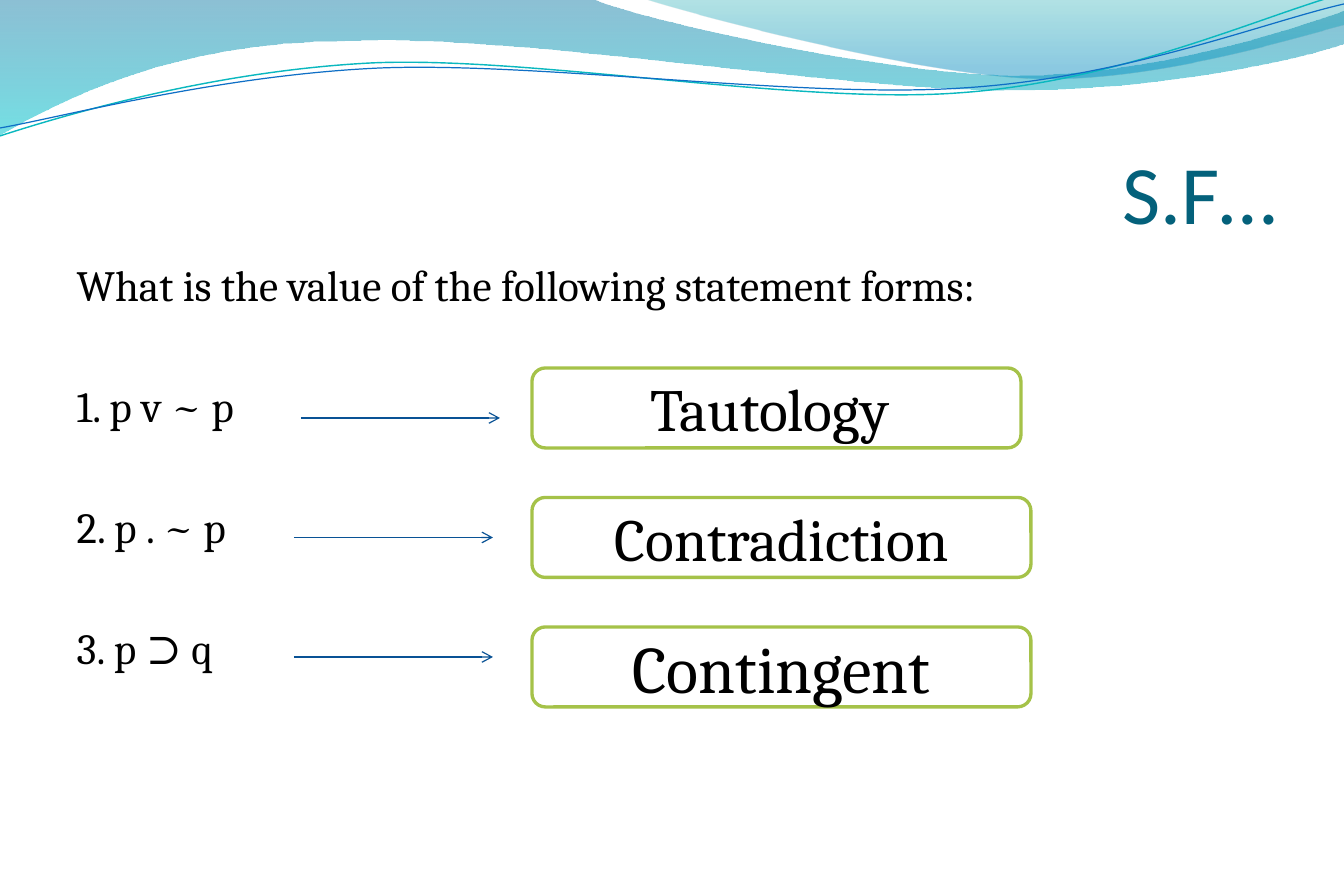
from lxml.etree import SubElement
from pptx import Presentation
from pptx.dml.color import RGBColor
from pptx.enum.shapes import MSO_CONNECTOR, MSO_SHAPE
from pptx.enum.text import MSO_ANCHOR, MSO_AUTO_SIZE, PP_ALIGN
from pptx.oxml.ns import qn
from pptx.util import Pt

SCALE = 914400 / 119.5


def px(*lengths):
    return [round(length * SCALE) for length in lengths]


def color(value):
    return RGBColor.from_string(value)


deck = Presentation()
deck.slide_width, deck.slide_height = px(1344, 896)
page = deck.slides.add_slide(deck.slide_layouts[5])

# Waves: a start, then straight (x, y) or cubic (x1, y1, x2, y2, x, y) steps;
# gradient stops are (position, colour, opacity in percent)
band = [(0, -1), (592, -1), (639, 20, 891, 75, 1019, 75), (1147, 75, 1288, 31, 1344, 11),
        (1345, 43), (1322, 53, 1170, 91, 1003, 90), (836, 90, 513, 33, 345, 41),
        (173, 42, 62, 99, -1, 135)]
crest = [(644, -1), (685, 13, 917, 74, 1034, 78), (1151, 82, 1293, 38, 1344, 25), (1344, 0)]
teal_curve = [(0, 136), (65, 115, 213, 71, 372, 63), (532, 56, 796, 105, 958, 93),
              (1119, 82, 1262, 16, 1342, -6)]
blue_curve = [(0, 128), (63, 117, 220, 75, 381, 68), (541, 62, 803, 99, 963, 88),
              (1125, 78, 1265, 22, 1344, 4)]
waves = [
    (band, [(0, "0074A1", 45), (1, "00C6CF", 55)], None),
    (crest, [(0, "00A1A9", 30), (0.8, "008BBF", 45)], None),
    (teal_curve, None, ("0AB8BF", 0.85)),
    (blue_curve, None, ("0F6FC6", 0.75)),
]
for (start, *steps), stops, stroke in waves:
    builder = page.shapes.build_freeform(*px(*start))
    for step in steps:
        pairs = zip(step[::2], step[1::2])
        builder.add_line_segments([px(*pair) for pair in pairs], close=False)
    if stops:
        builder.add_line_segments([], close=True)
    wave = builder.convert_to_shape()
    wave.shadow.inherit = False

    # Join the three points of each cubic step into one curve
    segments = iter(list(wave._element.iter(qn("a:lnTo"))))
    for step in steps:
        first = next(segments)
        if len(step) == 6:
            first.tag = qn("a:cubicBezTo")
            for extra in (next(segments), next(segments)):
                first.append(extra[0])
                extra.getparent().remove(extra)

    if stops:
        wave.line.fill.background()
        wave.fill.gradient()
        wave.fill.gradient_angle = 270
        for stop, (position, tint, opacity) in zip(wave.fill.gradient_stops, stops):
            stop.position = position
            stop.color.rgb = color(tint)
        tints = wave._element.spPr.iter(qn("a:srgbClr"))
        for tint, (position, name, opacity) in zip(tints, stops):
            SubElement(tint, qn("a:alpha"), val=str(opacity * 1000))
    else:
        wave.fill.background()
        wave.line.color.rgb = color(stroke[0])
        wave.line.width = Pt(stroke[1])

# Title
title = page.shapes.title
title.left, title.top, title.width, title.height = px(67, 92, 1210, 149)
frame = title.text_frame
frame.auto_size = MSO_AUTO_SIZE.NONE
frame.vertical_anchor = MSO_ANCHOR.BOTTOM
frame.margin_left = frame.margin_right = frame.margin_bottom = 0
frame.text = "S.F…"
para = frame.paragraphs[0]
para.alignment = PP_ALIGN.RIGHT
para.font.size = Pt(50)
para.font.name = "Calibri"
para.font.color.rgb = color("04617B")

# Question and statement forms
body = page.shapes.add_textbox(*px(65, 252, 1209, 574))
frame = body.text_frame
frame.word_wrap = True
frame.text = "\n".join(["What is the value of the following statement forms:",
                        "1. p v ~ p", "2. p . ~ p", "3. p ⊃ q"])
for number, para in enumerate(frame.paragraphs):
    para.space_before = Pt(41.8 if number else 0)
    para.font.size = Pt(26)
    para.font.name = "Cambria"
    para.font.color.rgb = color("000000")

# Arrows and answers
answers = [("Tautology ", 36, 301, 489), ("Contradiction", 36, 294, 499),
           ("Contingent", 40, 294, 499)]
for row, (answer, size, arrow_left, box_width) in enumerate(answers):
    arrow_y = 418 + row * 119.5
    arrow = page.shapes.add_connector(
        MSO_CONNECTOR.STRAIGHT, *px(arrow_left, arrow_y, arrow_left + 199, arrow_y))
    arrow.line.color.rgb = color("095295")
    arrow.line.width = Pt(0.75)
    SubElement(arrow.line._get_or_add_ln(), qn("a:tailEnd"), type="arrow")
    SubElement(arrow._element.spPr, qn("a:effectLst"))

    box = page.shapes.add_shape(MSO_SHAPE.ROUNDED_RECTANGLE,
                                *px(532, 368 + row * 129.5, box_width, 80))
    box.shadow.inherit = False
    box.fill.solid()
    box.fill.fore_color.rgb = color("FFFFFF")
    box.line.color.rgb = color("A5C249")
    box.line.width = Pt(2)
    frame = box.text_frame
    frame.vertical_anchor = MSO_ANCHOR.MIDDLE
    frame.text = answer
    para = frame.paragraphs[0]
    para.alignment = PP_ALIGN.CENTER
    para.font.size = Pt(size)
    para.font.name = "Cambria"
    para.font.color.rgb = color("000000")

deck.save("out.pptx")
